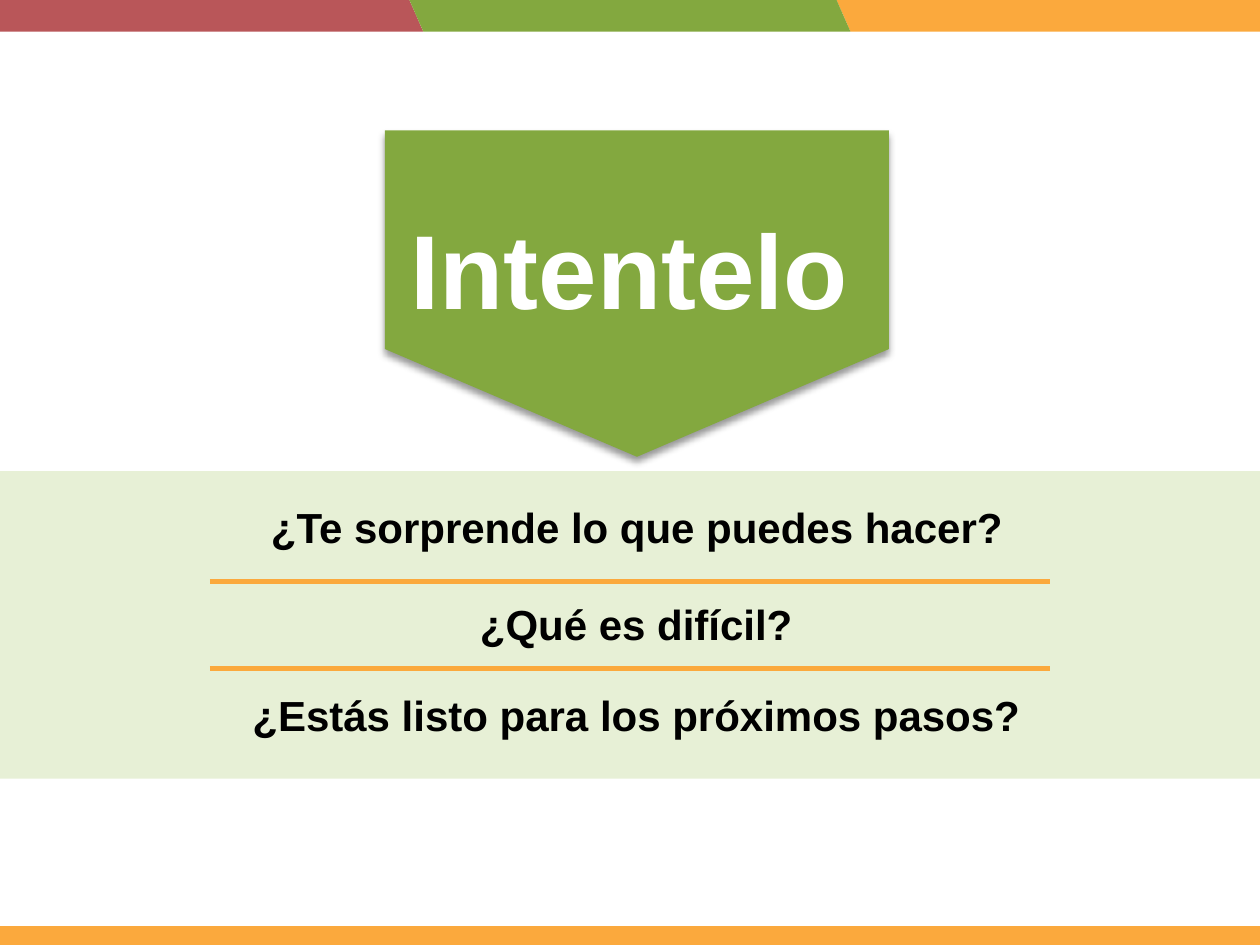
from dataclasses import dataclass

from lxml import etree
from pptx import Presentation
from pptx import util as u
from pptx.dml.color import RGBColor
from pptx.enum import shapes, text
from pptx.oxml import parse_xml
from pptx.oxml.ns import nsdecls, qn

WIDTH, HEIGHT = 10, 7.5
COLORS = {"orange": "FBA93D", "red": "B95659", "green": "83A83F",
          "pale": "E7F0D6", "black": "000000", "white": "FFFFFF"}
NO_TABLE_STYLE = "{2D5ABB26-0587-4C30-8999-92F81FD0307C}"


@dataclass
class Box:
    left: float
    top: float
    width: float
    height: float

    def lengths(self) -> list:
        return [u.Inches(n) for n in (self.left, self.top, self.width, self.height)]


@dataclass
class Question:
    wording: str
    box: Box


def add_block(slide, kind, box: Box, color: str):
    shape = slide.shapes.add_shape(kind, *box.lengths())
    shape.shadow.inherit = False
    shape.fill.solid()
    shape.fill.fore_color.rgb = RGBColor.from_string(COLORS[color])
    shape.line.fill.background()
    return shape


def write(shape, wording: str, size: int, color: str) -> None:
    frame = shape.text_frame
    frame.text = wording
    frame_format = {"word_wrap": True, "vertical_anchor": text.MSO_ANCHOR.TOP,
                    "auto_size": text.MSO_AUTO_SIZE.SHAPE_TO_FIT_TEXT}
    for name, value in frame_format.items():
        setattr(frame, name, value)
    paragraph = frame.paragraphs[0]
    paragraph.alignment = text.PP_ALIGN.CENTER
    font = paragraph.runs[0].font
    for name, value in {"name": "Arial", "size": u.Pt(size), "bold": True}.items():
        setattr(font, name, value)
    font.color.rgb = RGBColor.from_string(COLORS[color])


def add_soft_shadow(shape) -> None:
    effects = shape.element.spPr.find(qn("a:effectLst"))
    effects.append(parse_xml(
        f'<a:outerShdw {nsdecls("a")} blurRad="{u.Pt(4)}" dist="{u.Pt(3)}" '
        'dir="5400000" rotWithShape="0"><a:srgbClr val="000000">'
        '<a:alpha val="40000"/></a:srgbClr></a:outerShdw>'))


def add_border(cell, side: str) -> None:
    border = etree.SubElement(cell._tc.get_or_add_tcPr(), qn(f"a:ln{side}"),
                              w=str(u.Pt(3)))
    fill = etree.SubElement(border, qn("a:solidFill"))
    etree.SubElement(fill, qn("a:srgbClr"), val=COLORS["orange"])


def add_ruled_table(slide, box: Box, rows: int) -> None:
    table = slide.shapes.add_table(rows, 1, *box.lengths()).table
    table.first_row = table.horz_banding = False
    table._tbl.tblPr.find(qn("a:tableStyleId")).text = NO_TABLE_STYLE
    for row in range(rows):
        cell = table.cell(row, 0)
        if row > 0:
            add_border(cell, "T")
        if row < rows - 1:
            add_border(cell, "B")
        cell.fill.background()


def main() -> None:
    presentation = Presentation()
    presentation.slide_width = u.Inches(WIDTH)
    presentation.slide_height = u.Inches(HEIGHT)
    slide = presentation.slides.add_slide(presentation.slide_layouts[5])

    # Slanted bands along the top, bar along the bottom
    band_width, band_step = 3.5, 3.39
    for column, color in ((2, "orange"), (0, "red"), (1, "green")):
        box = Box(-0.14 + column * band_step, 0, band_width, HEIGHT / 30)
        band = add_block(slide, shapes.MSO_SHAPE.PARALLELOGRAM, box, color)
        band.adjustments[0] = 0.44
        band.element.spPr.xfrm.set("flipH", "1")
    add_block(slide, shapes.MSO_SHAPE.RECTANGLE,
              Box(0, HEIGHT * 0.98, WIDTH, HEIGHT * 0.02), "orange")

    # Panel behind the questions
    add_block(slide, shapes.MSO_SHAPE.RECTANGLE, Box(0, 3.74, WIDTH, 2.44), "pale")

    # Downward banner
    banner = add_block(slide, shapes.MSO_SHAPE.PENTAGON,
                       Box(3.76, 0.33, 2.59, 4), "green")
    banner.rotation = 90
    banner.adjustments[0] = 0.33
    add_soft_shadow(banner)

    # Questions between ruled lines
    questions = [
        Question("¿Te sorprende lo que puedes hacer?", Box(1.72, 3.93, 6.67, 0.5)),
        Question("¿Qué es difícil?", Box(3.05, 4.7, 4, 0.5)),
        Question("¿Estás listo para los próximos pasos?", Box(0.49, 5.42, 9.12, 0.5)),
    ]
    add_ruled_table(slide, Box(WIDTH / 6, 3.92, WIDTH * 2 / 3, 2.08), len(questions))
    for question in questions:
        write(slide.shapes.add_textbox(*question.box.lengths()),
              question.wording, 24, "black")

    # Title, brought in front of the banner
    title = slide.shapes.title
    title.left, title.top, title.width, title.height = Box(3.11, 1.57, 3.77, 1.11).lengths()
    write(title, "Intentelo", 60, "white")
    title.element.getparent().append(title.element)

    presentation.save("out.pptx")


if __name__ == "__main__":
    main()
